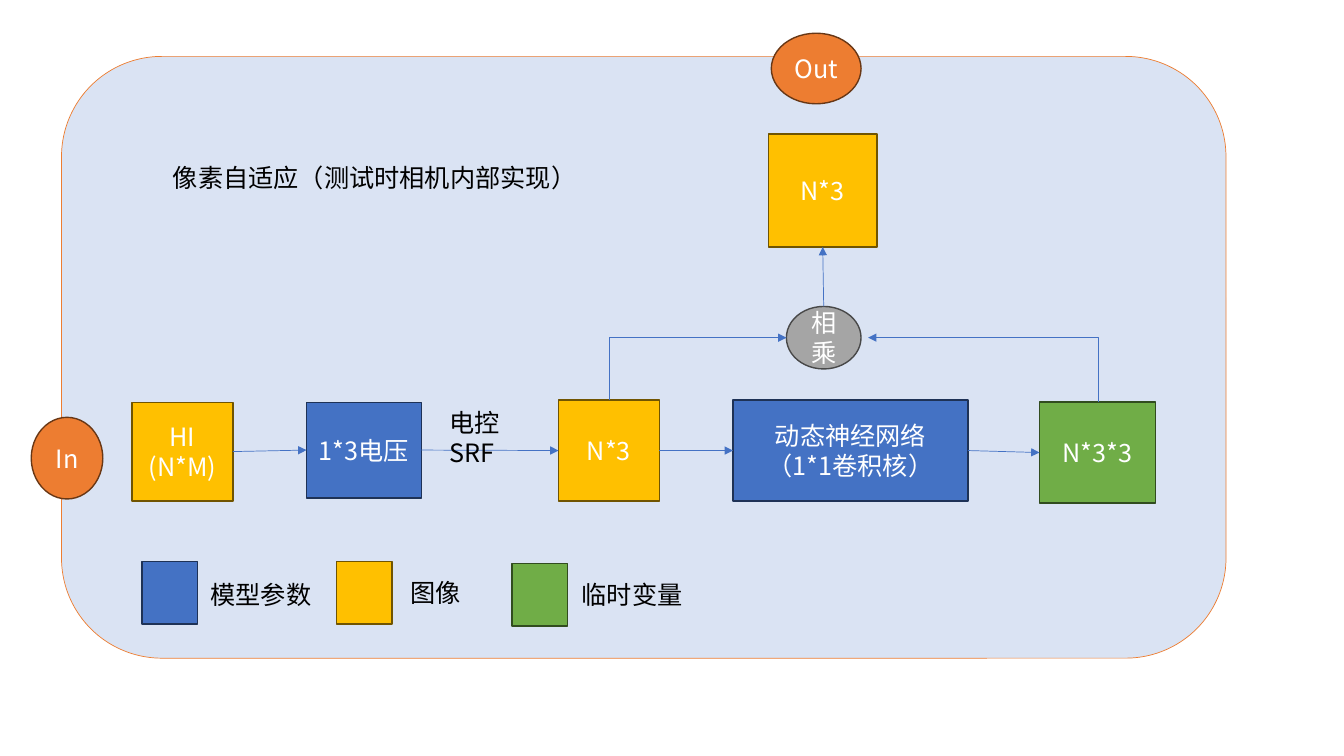
from dataclasses import dataclass

import pptx
import pptx.dml.color
import pptx.enum.shapes
import pptx.enum.text
import pptx.oxml
import pptx.oxml.ns
import pptx.util

Inches = pptx.util.Inches
Pt = pptx.util.Pt
MSO = pptx.enum.shapes.MSO_SHAPE
ALIGN = pptx.enum.text.PP_ALIGN
ANCHOR = pptx.enum.text.MSO_ANCHOR
qn = pptx.oxml.ns.qn
TOP, LEFT, BOTTOM, RIGHT = range(4)


@dataclass(frozen=True)
class Theme:
    """Colours, font and sizes; a shape style is its fill and line."""
    font: str = "Noto Sans CJK SC"
    size: int = 18
    dark: str = "000000"
    light: str = "FFFFFF"
    wire: str = "4472C4"
    thin: float = 0.5
    thick: float = 1
    panel: tuple = ("DAE3F3", "ED7D31")
    image: tuple = ("FFC000", "705400")
    model: tuple = ("4472C4", "1E3256")
    temporary: tuple = ("70AD47", "314C1F")
    operator: tuple = ("A5A5A5", "484848")
    port: tuple = ("ED7D31", "683715")


THEME = Theme()


def rgb(value):
    """Return a colour object for a hex string."""
    return pptx.dml.color.RGBColor.from_string(value)


def write(sp, text, color, align):
    """Fill a shape with one paragraph per line of text."""
    tf = sp.text_frame
    tf.text = text
    for p in tf.paragraphs:
        p.alignment = align
        p.font.size = Pt(THEME.size)
        p.font.name = THEME.font
        p.font.color.rgb = rgb(color)
    for props in sp.element.iter(qn("a:defRPr")):
        ea = pptx.oxml.parse_xml(f'<a:ea {pptx.oxml.ns.nsdecls("a")}/>')
        ea.set("typeface", THEME.font)
        props.append(ea)


def add_block(s, kind, x, y, w, h, style, text="", weight=THEME.thick):
    """Add a filled, outlined shape with centred text."""
    sp = s.shapes.add_shape(kind, Inches(x), Inches(y), Inches(w), Inches(h))
    sp.shadow.inherit = False
    fill, line = style
    sp.fill.solid()
    sp.fill.fore_color.rgb = rgb(fill)
    sp.line.color.rgb = rgb(line)
    sp.line.width = Pt(weight)
    if text:
        sp.text_frame.vertical_anchor = ANCHOR.MIDDLE
        sp.text_frame.word_wrap = True
        write(sp, text, THEME.light, ALIGN.CENTER)
    return sp


def add_label(s, x, y, w, text, wrap=False):
    """Add a dark left-aligned text box."""
    sp = s.shapes.add_textbox(Inches(x), Inches(y), Inches(w), Inches(0.4))
    sp.text_frame.word_wrap = wrap
    write(sp, text, THEME.dark, ALIGN.LEFT)


def add_arrow(s, kind, x1, y1, x2, y2):
    """Add a thin connector with a triangle at its end."""
    cxn = s.shapes.add_connector(kind, *map(Inches, (x1, y1, x2, y2)))
    cxn.line.color.rgb = rgb(THEME.wire)
    cxn.line.width = Pt(THEME.thin)
    ns = pptx.oxml.ns.nsdecls("a")
    cxn.line._get_or_add_ln().append(
        pptx.oxml.parse_xml(f'<a:tailEnd {ns} type="triangle"/>'))
    cxn.element.spPr.append(pptx.oxml.parse_xml(f"<a:effectLst {ns}/>"))
    return cxn


def link(s, source, source_site, target, target_site):
    """Join two shapes with a glued straight arrow."""
    cxn = add_arrow(s, pptx.enum.shapes.MSO_CONNECTOR.STRAIGHT, 0, 0, 0, 0)
    cxn.begin_connect(source, source_site)
    cxn.end_connect(target, target_site)


def add_elbow(s, x1, y1, x2, y2):
    """Add an arrow that runs up from its start, then sideways."""
    cx, cy = (x1 + x2) / 2, (y1 + y2) / 2
    side = 1 if x2 > x1 else -1
    dx, dy = side * abs(y2 - y1) / 2, abs(x2 - x1) / 2
    cxn = add_arrow(s, pptx.enum.shapes.MSO_CONNECTOR.ELBOW,
                    cx + dx, cy + dy, cx - dx, cy - dy)
    sp_pr = cxn.element.spPr
    sp_pr.find(qn("a:prstGeom")).set("prst", "bentConnector2")
    sp_pr.find(qn("a:xfrm")).set("rot", str((90 if side > 0 else 270) * 60000))


def add_panel(s, x, y, w, h):
    """Draw the camera panel and move the title on top of it."""
    add_block(s, MSO.ROUNDED_RECTANGLE, x, y, w, h, THEME.panel, weight=THEME.thin)
    title = s.shapes.title
    title.left, title.top = Inches(x - 0.23), Inches(y + 1)
    title.width, title.height = Inches(6.67), Inches(0.4)
    title.text_frame.vertical_anchor = ANCHOR.TOP
    title.text_frame.word_wrap = True
    title.text_frame.auto_size = pptx.enum.text.MSO_AUTO_SIZE.NONE
    write(title, "像素自适应（测试时相机内部实现）", THEME.dark, ALIGN.CENTER)
    title.element.getparent().append(title.element)


def add_flow(s, x, y):
    """Draw the left-to-right chain of processing steps."""
    steps = [
        (0, 0.02, 1, 0.98, THEME.image, "HI\n(N*M)"),
        (1.73, 0.02, 1.14, 0.95, THEME.model, "1*3电压"),
        (4.23, 0, 1, 1, THEME.image, "N*3"),
        (5.96, 0, 2.33, 1, THEME.model, "动态神经网络\n（1*1卷积核）"),
        (9, 0.02, 1.15, 1, THEME.temporary, "N*3*3"),
    ]
    blocks = [add_block(s, MSO.RECTANGLE, x + dx, y + dy, w, h, style, text)
              for dx, dy, w, h, style, text in steps]
    for source, target in zip(blocks, blocks[1:]):
        link(s, source, RIGHT, target, LEFT)
    add_label(s, x + 3.05, y + 0.02, 1.1, "电控 SRF", wrap=True)


def add_product(s, x, y):
    """Draw the multiplication node, its two inputs and its result."""
    result = add_block(s, MSO.RECTANGLE, x, y, 1.08, 1.12, THEME.image, "N*3")
    node = add_block(s, MSO.OVAL, x + 0.18, y + 1.71, 0.74, 0.62,
                     THEME.operator, "相乘")
    link(s, node, TOP, result, BOTTOM)
    add_elbow(s, x - 1.58, y + 2.64, x + 0.18, y + 2.02)
    add_elbow(s, x + 3.27, y + 2.66, x + 0.99, y + 2.02)


def add_legend(s, x, y):
    """Draw the colour key."""
    entries = [
        (0, 0, THEME.model, 0.58, 0.13, 1.21, "模型参数"),
        (1.93, 0, THEME.image, 0.63, 0.11, 0.71, "图像"),
        (3.67, 0.02, THEME.temporary, 0.59, 0.11, 1.21, "临时变量"),
    ]
    for dx, dy, style, gap, drop, w, text in entries:
        add_block(s, MSO.RECTANGLE, x + dx, y + dy, 0.55, 0.62, style)
        add_label(s, x + dx + gap, y + dy + drop, w, text)


def add_ports(s, x, y):
    """Draw the input and output ports on the panel edge."""
    add_block(s, MSO.OVAL, x - 0.3, y + 3.58, 0.71, 0.81, THEME.port, "In")
    add_block(s, MSO.OVAL, x + 7.04, y - 0.23, 0.89, 0.7, THEME.port, "Out")


def main():
    """Build and save the slide."""
    prs = pptx.Presentation()
    prs.slide_width, prs.slide_height = Inches(13.33), Inches(7.5)
    s = prs.slides.add_slide(prs.slide_layouts.get_by_name("Title Only"))
    add_panel(s, 0.61, 0.56, 11.55, 5.97)
    add_flow(s, 1.31, 3.97)
    add_product(s, 7.62, 1.33)
    add_legend(s, 1.41, 5.57)
    add_ports(s, 0.61, 0.56)
    prs.save("out.pptx")


if __name__ == "__main__":
    main()
